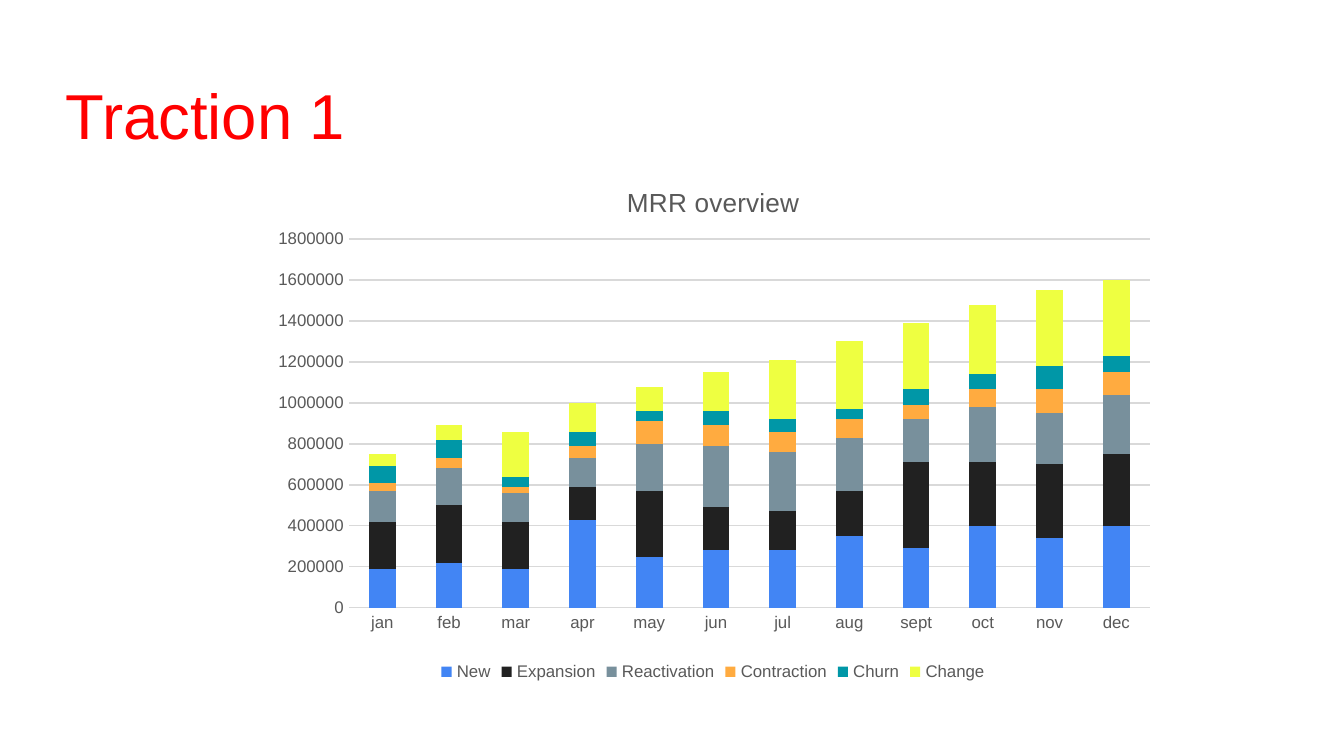
from lxml.etree import SubElement
from pptx import Presentation
from pptx.chart.data import CategoryChartData
from pptx.dml.color import RGBColor
from pptx.enum.chart import XL_CHART_TYPE as ChartType
from pptx.enum.chart import XL_LEGEND_POSITION as LegendPosition
from pptx.enum.chart import XL_TICK_MARK as TickMark
from pptx.oxml import parse_xml
from pptx.oxml.ns import nsdecls, qn
from pptx.util import Emu, Pt

SCALE = 914400 / 134.4
COLORS = {
    "title": "FF0000", "label": "595959", "grid": "D9D9D9",
    "New": "4285F4", "Expansion": "212121", "Reactivation": "78909C",
    "Contraction": "FFAB40", "Churn": "0097A7", "Change": "EEFF41",
}

MONTHS = ["jan", "feb", "mar", "apr", "may", "jun",
          "jul", "aug", "sept", "oct", "nov", "dec"]
# Monthly recurring revenue, in thousands
MRR = {
    "New": [190, 220, 190, 430, 250, 280, 280, 350, 290, 400, 340, 400],
    "Expansion": [230, 280, 230, 160, 320, 210, 190, 220, 420, 310, 360, 350],
    "Reactivation": [150, 180, 140, 140, 230, 300, 290, 260, 210, 270, 250, 290],
    "Contraction": [40, 50, 30, 60, 110, 100, 100, 90, 70, 90, 120, 110],
    "Churn": [80, 90, 50, 70, 50, 70, 60, 50, 80, 70, 110, 80],
    "Change": [60, 70, 220, 140, 120, 190, 290, 330, 320, 340, 370, 370],
}


def px(length):
    return Emu(round(length * SCALE))


def color(name):
    return RGBColor.from_string(COLORS[name])


def style_font(font, size, tint):
    font.name = "Arial"
    font.size = Pt(size)
    font.bold = False
    font.color.rgb = color(tint)


def write_text(frame, text, size=9, tint="label"):
    frame.text = text
    style_font(frame.paragraphs[0].runs[0].font, size, tint)


def style_line(line, tint):
    line.color.rgb = color(tint)
    line.width = Pt(0.75)


def place(parent, after=None, **fractions):
    """Give a chart part a fixed place, as fractions of the chart."""
    layout = parent.find(qn("c:layout"))
    if layout is None:
        layout = parse_xml(f"<c:layout {nsdecls('c')}/>")
        parent.insert(0 if after is None else parent.index(after) + 1, layout)
    manual = SubElement(layout, qn("c:manualLayout"))
    if "w" in fractions:
        SubElement(manual, qn("c:layoutTarget")).set("val", "inner")
    for side in ("xMode", "yMode"):
        SubElement(manual, qn(f"c:{side}")).set("val", "edge")
    for side, value in fractions.items():
        SubElement(manual, qn(f"c:{side}")).set("val", str(value))


class Deck:
    def __init__(self, width, height):
        self.prs = Presentation()
        self.prs.slide_width, self.prs.slide_height = px(width), px(height)
        self.slide = self.prs.slides.add_slide(self.prs.slide_layouts[6])

    def heading(self, text, x, y, w, h, top=0):
        frame = self.slide.shapes.add_textbox(px(x), px(y), px(w), px(h)).text_frame
        frame.word_wrap = True
        frame.margin_left = frame.margin_right = frame.margin_bottom = 0
        frame.margin_top = px(top)
        write_text(frame, text, 34, "title")

    def stacked_columns(self, title, months, amounts, x, y, w, h):
        data = CategoryChartData(number_format="0")
        data.categories = months
        for name, thousands in amounts.items():
            data.add_series(name, [value * 1000 for value in thousands])
        chart = self.slide.shapes.add_chart(
            ChartType.COLUMN_STACKED, px(x), px(y), px(w), px(h), data).chart
        style_font(chart.font, 9, "label")

        # Columns
        plot = chart.plots[0]
        plot.gap_width, plot.overlap = 150, 100
        plot.vary_by_categories = False
        for series in plot.series:
            series.format.fill.solid()
            series.format.fill.fore_color.rgb = color(series.name)

        # Axes
        month_axis, amount_axis = chart.category_axis, chart.value_axis
        for axis in (month_axis, amount_axis):
            axis.major_tick_mark = axis.minor_tick_mark = TickMark.NONE
            style_font(axis.tick_labels.font, 9, "label")
        style_line(month_axis.format.line, "grid")
        amount_axis.format.line.fill.background()
        style_line(amount_axis.major_gridlines.format.line, "grid")
        amount_axis.minimum_scale, amount_axis.maximum_scale = 0, 1800000
        amount_axis.major_unit = 200000
        amount_axis.tick_labels.number_format = "0"
        amount_axis.tick_labels.number_format_is_linked = False

        # Legend and title
        chart.has_legend = True
        chart.legend.position = LegendPosition.BOTTOM
        chart.legend.include_in_layout = False
        style_font(chart.legend.font, 9, "label")
        chart.has_title = True
        write_text(chart.chart_title.text_frame, title, 14)

        # Places inside the chart
        root = chart.element if hasattr(chart, "element") else chart._chartSpace
        title_part = root.find(".//" + qn("c:title"))
        place(title_part, title_part.find(qn("c:tx")), x=0.4, y=0.04)
        place(root.find(".//" + qn("c:plotArea")), x=0.1, y=0.15, w=0.88, h=0.7)


def main():
    deck = Deck(1344, 756)
    deck.heading("Traction 1", 66, 70, 594, 73, top=6)
    deck.stacked_columns("MRR overview", MONTHS, MRR, 258, 160, 910, 527)
    deck.prs.save("out.pptx")


if __name__ == "__main__":
    main()
